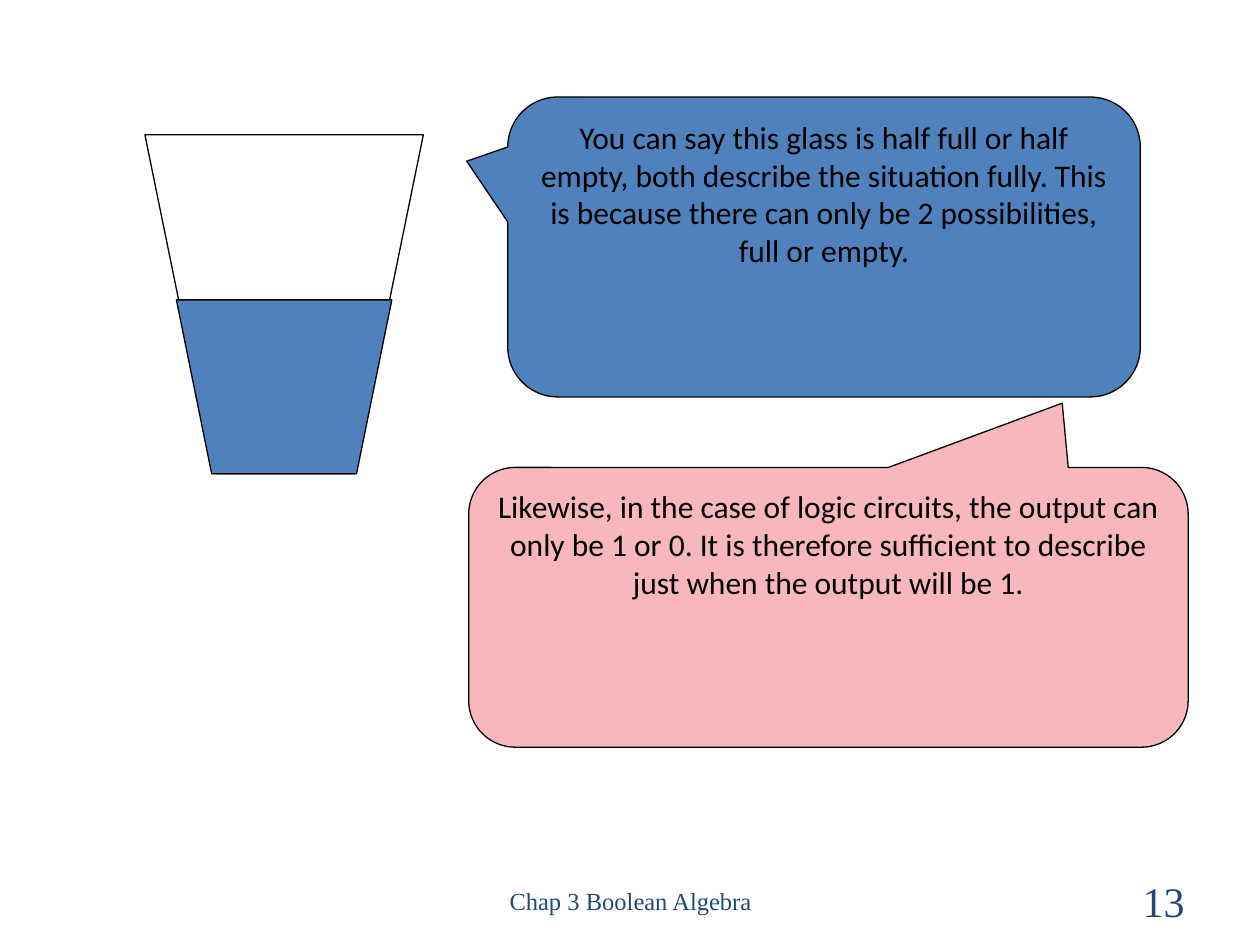
from dataclasses import dataclass

from pptx import Presentation
from pptx.dml.color import RGBColor as RGB
from pptx.enum.shapes import MSO_SHAPE as Shape
from pptx.enum.text import MSO_ANCHOR as Anchor, PP_ALIGN as Align
from pptx.util import Inches, Pt


@dataclass(frozen=True)
class Theme:
    water: RGB = RGB(0x4F, 0x81, 0xBD)
    pink: RGB = RGB(0xF7, 0xB7, 0xBD)
    ink: RGB = RGB(0, 0, 0)
    navy: RGB = RGB(0x1F, 0x49, 0x7D)
    body_font: str = "Calibri"
    footer_font: str = "Times New Roman"
    body_size: int = 18
    footer_size: int = 14
    number_size: int = 24
    line_width: float = 0.75


class SlideBuilder:
    def __init__(self, slide, theme):
        self.s, self.t = slide, theme

    def set_text(self, sp, text, font, size, color, align, anchor):
        tf = sp.text_frame
        tf.word_wrap = True
        tf.vertical_anchor = anchor
        p = tf.paragraphs[0]
        p.text = text
        p.alignment = align
        r = p.runs[0]
        r.font.name, r.font.size = font, Pt(size)
        r.font.color.rgb = color

    def paint(self, sp, fill=None):
        sp.shadow.inherit = False
        if fill is None:
            sp.fill.background()
        else:
            sp.fill.solid()
            sp.fill.fore_color.rgb = fill
        sp.line.color.rgb = self.t.ink
        sp.line.width = Pt(self.t.line_width)

    def footer(self, text, left, width, size, align):
        sp = self.s.shapes.add_textbox(
            Inches(left), Inches(6.95), Inches(width), Inches(0.4))
        self.set_text(sp, text, self.t.footer_font, size, self.t.navy,
                      align, Anchor.MIDDLE)

    def outline(self, points, fill=None):
        start, *rest = [(Inches(x), Inches(y)) for x, y in points]
        builder = self.s.shapes.build_freeform(*start)
        builder.add_line_segments(rest, close=True)
        self.paint(builder.convert_to_shape(), fill)

    def callout(self, text, box, tail, fill):
        sp = self.s.shapes.add_shape(
            Shape.ROUNDED_RECTANGULAR_CALLOUT, *map(Inches, box))
        sp.adjustments[0], sp.adjustments[1] = tail
        self.paint(sp, fill)
        self.set_text(sp, text, self.t.body_font, self.t.body_size,
                      self.t.ink, Align.CENTER, Anchor.TOP)


prs = Presentation()
prs.slide_width, prs.slide_height = Inches(10), Inches(7.5)
theme = Theme()
b = SlideBuilder(prs.slides.add_slide(prs.slide_layouts[6]), theme)

# Footer and page number
b.footer("Chap 3 Boolean Algebra", 3.42, 3.17, theme.footer_size, Align.CENTER)
b.footer("13", 7.17, 2.33, theme.number_size, Align.RIGHT)

# Glass, then the water in it
b.outline([(1.15, 1.07), (1.7, 3.76), (2.81, 3.76), (3.36, 1.07)])
b.outline([(1.4, 2.38), (1.68, 3.76), (2.83, 3.76), (3.11, 2.38)], theme.water)

# Speech callouts
b.callout("You can say this glass is half full or half empty, both describe "
          "the situation fully. This is because there can only be 2 "
          "possibilities, full or empty.",
          (4.03, 0.77, 5.02, 2.38), (-0.565, -0.286), theme.water)
b.callout("Likewise, in the case of logic circuits, the output can only be "
          "1 or 0. It is therefore sufficient to describe just when the "
          "output will be 1.",
          (3.72, 3.71, 5.71, 2.22), (0.325, -0.73), theme.pink)

prs.save("out.pptx")
